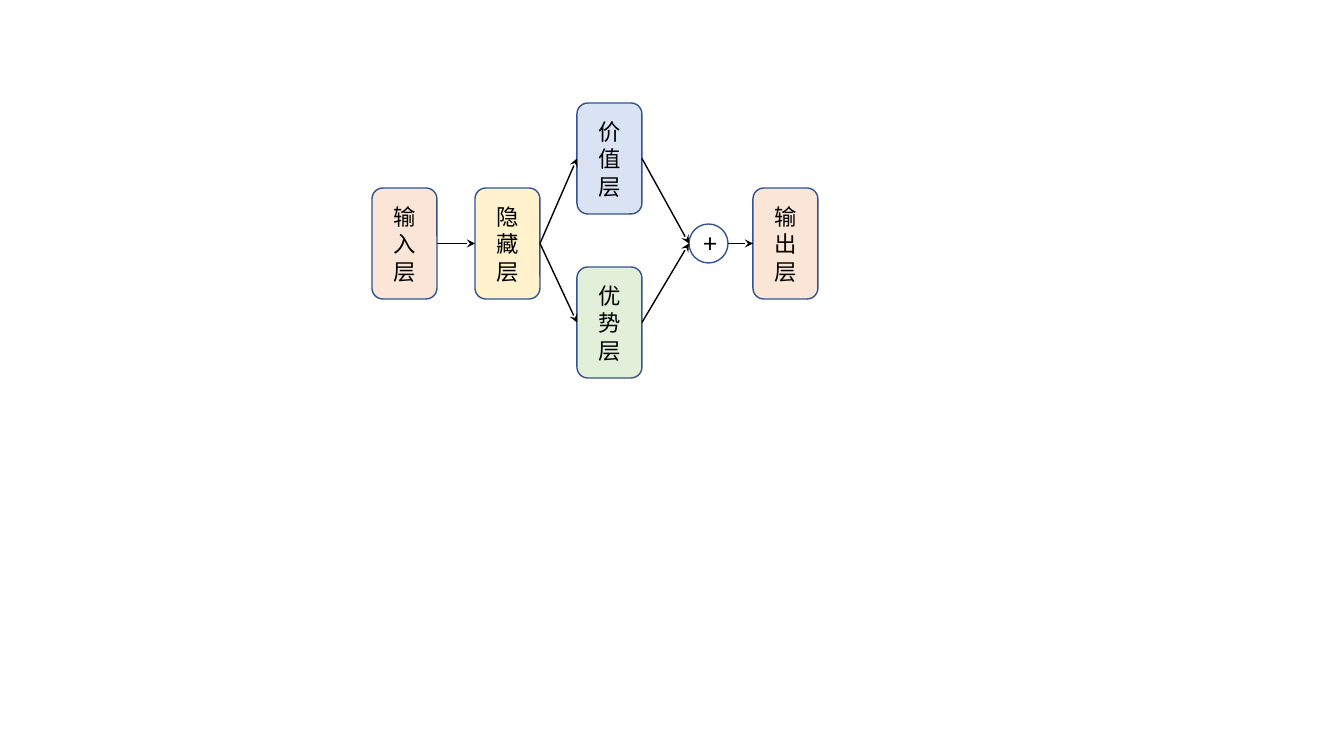
"""Draw a dueling network: input, hidden, value and advantage layers summed to an output."""
from lxml.etree import SubElement
from pptx import Presentation
from pptx.dml.color import RGBColor
from pptx.enum.shapes import MSO_CONNECTOR, MSO_SHAPE
from pptx.enum.text import MSO_ANCHOR, PP_ALIGN
from pptx.oxml.ns import qn
from pptx.util import Pt

EMU_PER_PX = 914400 / 100.8
FONT = "Noto Sans CJK SC"
BLACK = RGBColor(0x00, 0x00, 0x00)
OUTLINE = RGBColor(0x32, 0x54, 0x91)
PEACH = RGBColor(0xFB, 0xE5, 0xD6)
YELLOW = RGBColor(0xFF, 0xF2, 0xCC)
BLUE = RGBColor(0xDA, 0xE3, 0xF3)
GREEN = RGBColor(0xE2, 0xF0, 0xD9)
LAYER_WIDTH, LAYER_HEIGHT = 65, 111
SUM_SIZE = 39
LEFT_SIDE, RIGHT_SIDE = 1, 3


def px(length):
    return round(length * EMU_PER_PX)


def add_node(slide, preset, box, label, size, insets):
    node = slide.shapes.add_shape(preset, *map(px, box))
    node.shadow.inherit = False
    node.fill.background()
    node.line.color.rgb = OUTLINE
    node.line.width = Pt(1)
    frame = node.text_frame
    frame.word_wrap = True
    frame.vertical_anchor = MSO_ANCHOR.MIDDLE
    frame.margin_left, frame.margin_right = map(px, insets)
    frame.margin_top = frame.margin_bottom = 0
    frame.text = label
    paragraph = frame.paragraphs[0]
    paragraph.alignment = PP_ALIGN.CENTER
    paragraph.line_spacing = Pt(size * 1.22)
    font = paragraph.runs[0].font
    font.size = Pt(size)
    font.name = FONT
    font.color.rgb = BLACK
    SubElement(font._element, qn("a:ea"), typeface=FONT)
    return node


def add_layer(slide, left, top, label, color):
    box = (left, top, LAYER_WIDTH, LAYER_HEIGHT)
    layer = add_node(slide, MSO_SHAPE.ROUNDED_RECTANGLE, box, label, 16, (14, 14))
    layer.fill.solid()
    layer.fill.fore_color.rgb = color
    return layer


def add_sum(slide, left, top):
    box = (left, top, SUM_SIZE, SUM_SIZE)
    return add_node(slide, MSO_SHAPE.OVAL, box, "+", 18, (4, 0))


def add_arrow(slide, source, target):
    arrow = slide.shapes.add_connector(
        MSO_CONNECTOR.STRAIGHT,
        source.left + source.width, source.top + source.height // 2,
        target.left, target.top + target.height // 2)
    if source.auto_shape_type == MSO_SHAPE.ROUNDED_RECTANGLE:
        arrow.begin_connect(source, RIGHT_SIDE)
    if target.auto_shape_type == MSO_SHAPE.ROUNDED_RECTANGLE:
        arrow.end_connect(target, LEFT_SIDE)
    arrow.line.color.rgb = BLACK
    arrow.line.width = Pt(1)
    SubElement(arrow.line._get_or_add_ln(), qn("a:tailEnd"), type="stealth")
    SubElement(arrow._element.spPr, qn("a:effectLst"))


def main():
    deck = Presentation()
    deck.slide_width, deck.slide_height = px(1344), px(756)
    slide = deck.slides.add_slide(deck.slide_layouts[6])

    input_layer = add_layer(slide, 372, 188, "输入层", PEACH)
    hidden_layer = add_layer(slide, 475, 188, "隐藏层", YELLOW)
    output_layer = add_layer(slide, 753, 188, "输出层", PEACH)
    value_layer = add_layer(slide, 577, 103, "价值层", BLUE)
    advantage_layer = add_layer(slide, 577, 267, "优势层", GREEN)
    total = add_sum(slide, 689, 224)

    add_arrow(slide, input_layer, hidden_layer)
    for branch in (value_layer, advantage_layer):
        add_arrow(slide, hidden_layer, branch)
        add_arrow(slide, branch, total)
    add_arrow(slide, total, output_layer)

    deck.save("out.pptx")


if __name__ == "__main__":
    main()
